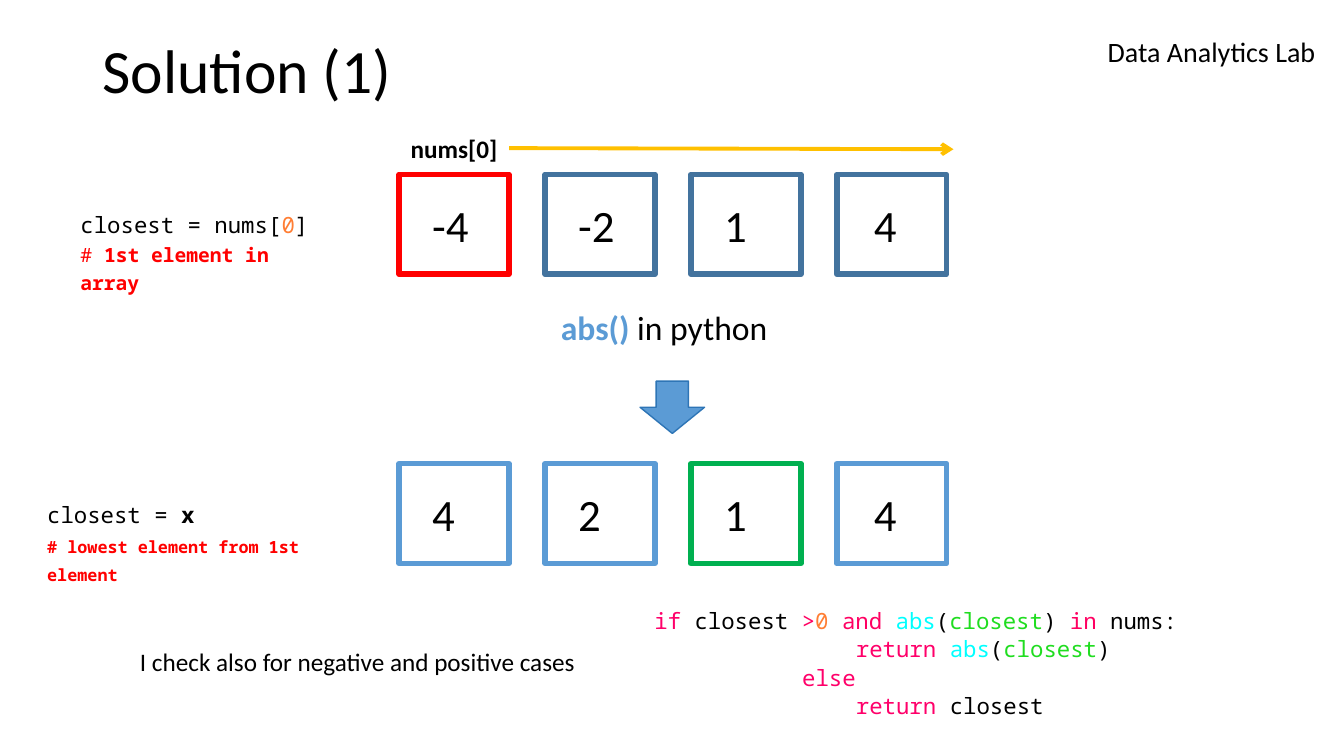
from lxml.etree import SubElement
from pptx import Presentation
from pptx.dml.color import RGBColor
from pptx.enum.shapes import MSO_CONNECTOR as Connector, MSO_SHAPE as Shape
from pptx.enum.text import MSO_ANCHOR as Anchor, MSO_AUTO_SIZE as AutoSize, PP_ALIGN as Align
from pptx.oxml.ns import qn
from pptx.util import Pt

COLORS = {
    "black": "000000", "red": "FF0000", "steel": "43739E", "blue": "5B9BD5",
    "edge": "2E75B6", "green": "00B050", "gold": "FFC000", "keyword": "FF006A",
    "operator": "FF0062", "number": "FF7E34", "call": "00FFFF", "argument": "20DD20",
}
SANS, MONO = "Calibri", "Noto Sans Mono"
CODE_LEADING = Pt(20.2)
CELL_LEFT, CELL_STEP, CELL_WIDTH, CELL_HEIGHT = 285.1, 104.2, 78.5, 71.3


def color(name):
    return RGBColor.from_string(COLORS[name])


class SlideBuilder:
    def __init__(self, slide):
        self.slide = slide

    def text(self, box, paragraphs, size=18, font=SANS, align=Align.LEFT,
             leading=None, anchor=Anchor.TOP, wrap=True, grow=True):
        frame = self.slide.shapes.add_textbox(*map(Pt, box)).text_frame
        frame.word_wrap = wrap
        frame.auto_size = AutoSize.SHAPE_TO_FIT_TEXT if grow else AutoSize.NONE
        frame.vertical_anchor = anchor
        for index, (runs, style) in enumerate(paragraphs):
            paragraph = frame.paragraphs[0] if index == 0 else frame.add_paragraph()
            paragraph.alignment = align
            paragraph.line_spacing = leading
            paragraph.font.name = font
            paragraph.font.size = Pt(style.get("size", size))
            if "indent" in style:
                properties = paragraph._p.get_or_add_pPr()
                properties.set("marL", str(Pt(style["indent"])))
                properties.set("indent", "0")
            for words, ink, *bold in runs:
                run = paragraph.add_run()
                run.text = words
                run.font.color.rgb = color(ink)
                run.font.bold = bool(bold)

    def line_of_text(self, box, words, bold=False, **style):
        run = (words, "black", True) if bold else (words, "black")
        self.text(box, [([run], {})], **style)

    def shape(self, kind, box, line, width, fill=None):
        shape = self.slide.shapes.add_shape(kind, *map(Pt, box))
        shape.shadow.inherit = False
        shape.line.color.rgb = color(line)
        shape.line.width = Pt(width)
        if fill:
            shape.fill.solid()
            shape.fill.fore_color.rgb = color(fill)
        else:
            shape.fill.background()

    def arrow(self, start, end, line, width):
        arrow = self.slide.shapes.add_connector(
            Connector.STRAIGHT, *map(Pt, (*start, *end)))
        arrow.line.color.rgb = color(line)
        arrow.line.width = Pt(width)
        SubElement(arrow.line._get_or_add_ln(), qn("a:tailEnd"), type="arrow")
        SubElement(arrow._element.spPr, qn("a:effectLst"))

    def array(self, top, values, borders):
        for index, (value, border) in enumerate(zip(values, borders)):
            left = CELL_LEFT + index * CELL_STEP
            self.shape(Shape.RECTANGLE, (left, top, CELL_WIDTH, CELL_HEIGHT), border, 4)
            inset = 19.4 if index == len(values) - 1 else 16.6
            self.line_of_text((left + inset, top + 13, 45.4, 46), value, size=32)


def main():
    deck = Presentation()
    deck.slide_width, deck.slide_height = Pt(960), Pt(540)
    page = SlideBuilder(deck.slides.add_slide(deck.slide_layouts[6]))

    page.line_of_text((784.1, 20.9, 164.9, 31.7), "Data Analytics Lab", size=20, wrap=False)
    page.line_of_text((66.2, 0, 828, 104.4), "Solution (1)", size=44,
                      leading=0.9, anchor=Anchor.MIDDLE, grow=False)

    page.array(124.6, ["-4", "-2", "1", "4"], ["red", "steel", "steel", "steel"])
    page.line_of_text((CELL_LEFT, 91.4, CELL_WIDTH, 28.8), "nums[0]", bold=True,
                      align=Align.CENTER)
    page.arrow((363.6, 105.8), (681.1, 106.6), "gold", 2.75)

    page.text((373.2, 216, 202.3, 36),
              [([("abs()", "blue", True), (" in python", "black")], {})],
              size=24, align=Align.CENTER)
    page.shape(Shape.DOWN_ARROW, (457.2, 272.2, 46.1, 37.4), "edge", 1, "blue")

    page.array(331.2, ["4", "2", "1", "4"], ["blue", "blue", "green", "blue"])
    page.line_of_text((92.9, 457.9, 488.9, 28.8),
                      "I check also for negative and positive cases")

    abs_closest = [("abs", "call"), ("(", "black"), ("closest", "argument")]
    code = dict(size=16, font=MONO, leading=CODE_LEADING)
    page.text((450.7, 429.1, 400.3, 89.3), [
        ([("if ", "keyword"), ("closest ", "black"), (">", "operator"), ("0 ", "number"),
          ("and ", "operator"), *abs_closest, (") ", "black"), ("in ", "operator"),
          ("nums:", "black")], {"indent": 9.6}),
        ([("return ", "keyword"), *abs_closest, (")", "black")], {"indent": 153.6}),
        ([("else", "keyword")], {"indent": 115.2}),
        ([("return ", "keyword"), ("closest", "black")], {"indent": 153.6}),
    ], **code)
    page.text((50.4, 146.2, 192.2, 48.2), [
        ([("closest = nums[", "black"), ("0", "number"), ("]", "black")], {}),
        ([("# ", "red"), ("1st element in array", "red", True)], {"size": 14}),
    ], **code)
    page.text((26.6, 353.5, 241.2, 48.2), [
        ([("closest = ", "black"), ("x", "black", True)], {}),
        ([("# lowest element from 1st element", "red", True)], {"size": 12}),
    ], **code)

    deck.save("out.pptx")


if __name__ == "__main__":
    main()
